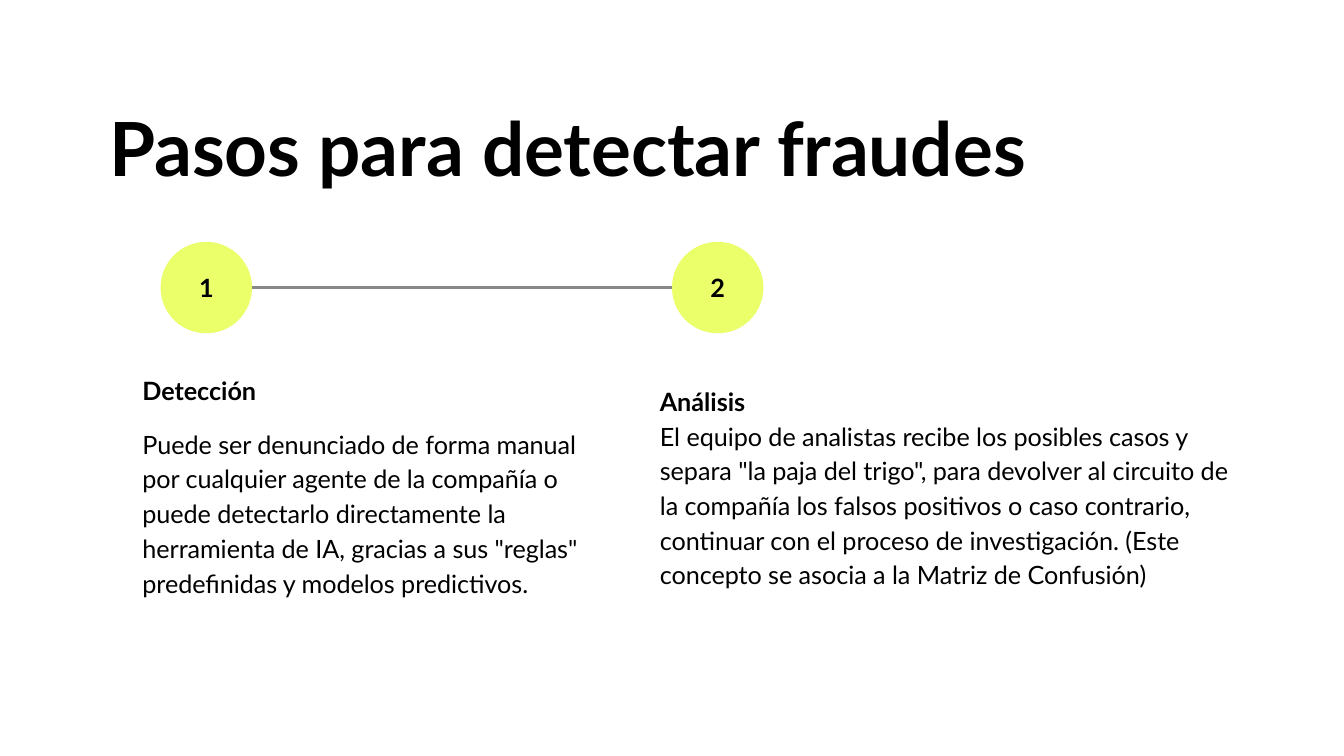
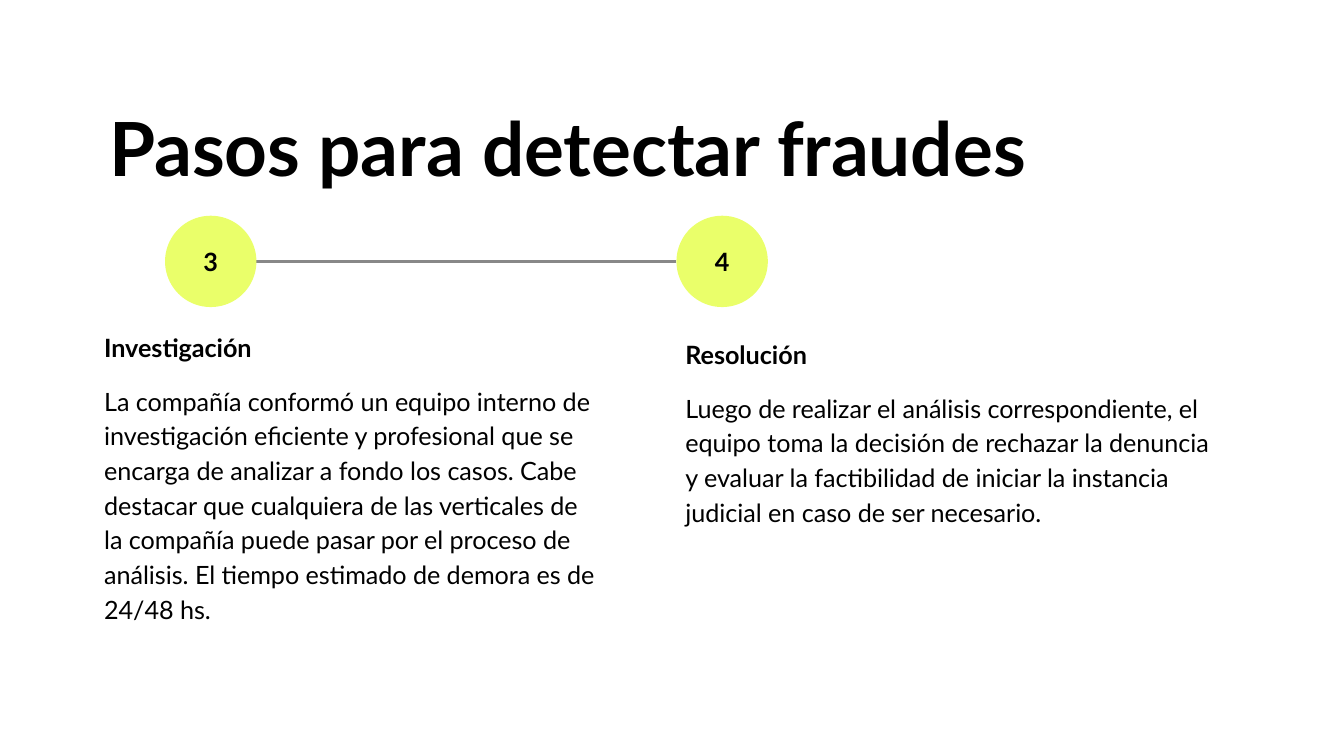
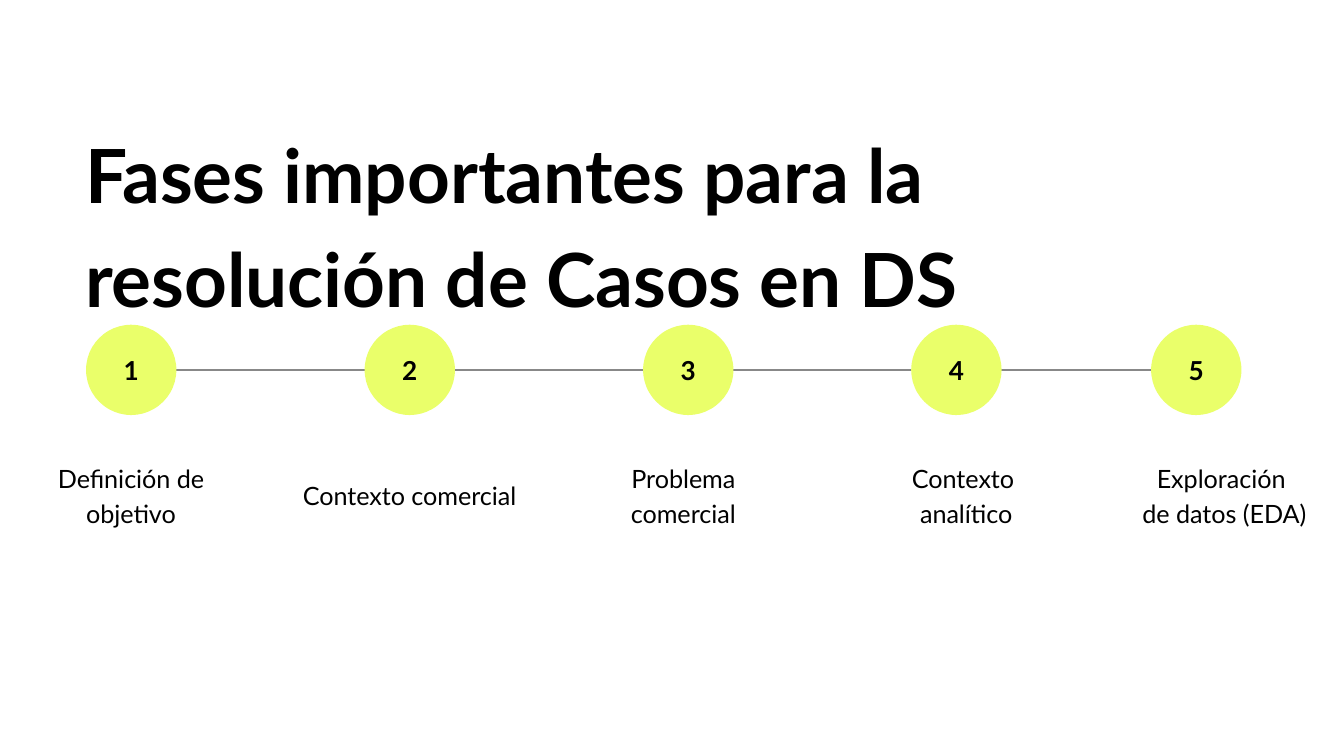
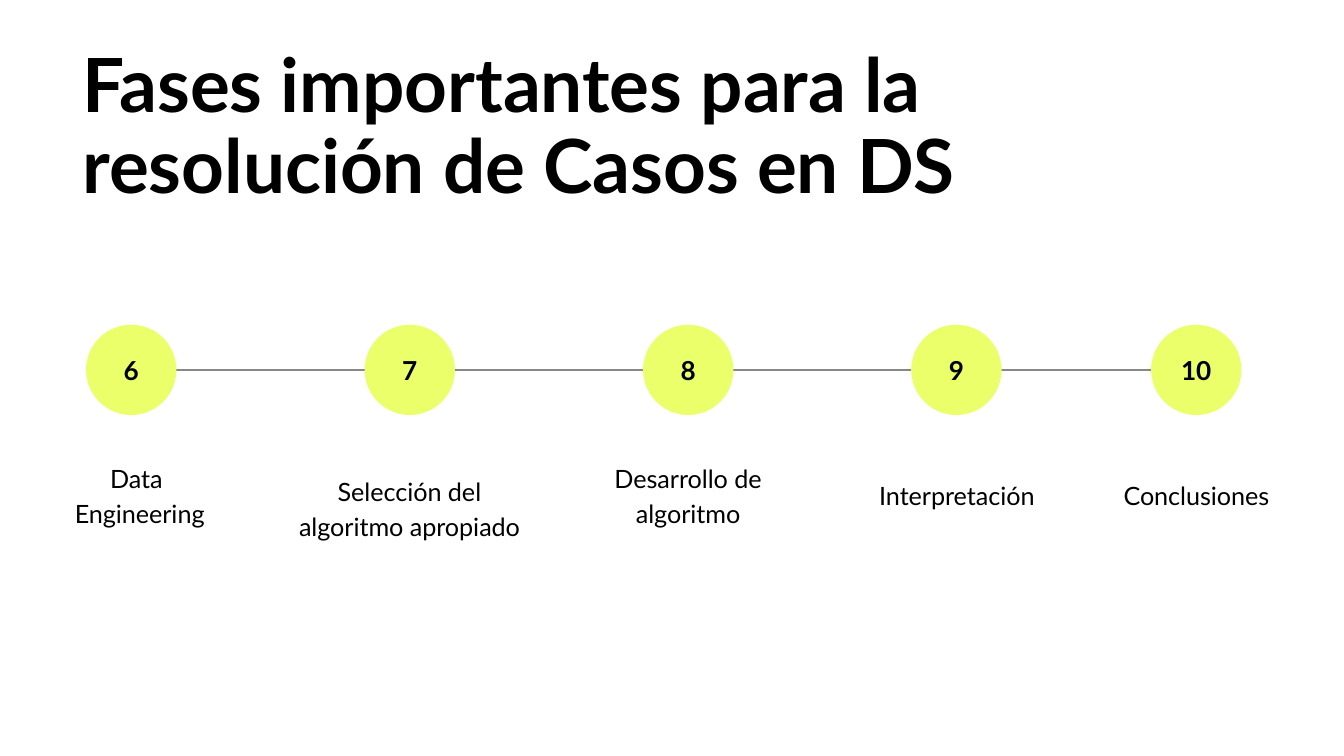
import pptx
import pptx.util
import pptx.dml.color
import pptx.enum.shapes
import pptx.enum.text
import lxml.etree

# The grid has 100 columns and 56.25 rows of square cells.
CELL = pptx.util.Inches(0.1)
COLUMNS, ROWS = 100, 56.25
FONT = "Lato"
COLORS = {"text": "000000", "circle": "EAFF6A", "line": "888888", "background": "FFFFFF"}
TITLE_ONLY, TWO_CONTENT = 5, 3
ALIGN = pptx.enum.text.PP_ALIGN
ANCHOR = pptx.enum.text.MSO_ANCHOR

BODY_SIZE = 13.5
STEP_DIAMETER, STEP_DISTANCE = 6.8, 38.05
PHASE_DIAMETER, PHASE_ROW = 6.72, 24.16
PHASE_COLUMNS = (6.4, 27.13, 47.85, 67.8, 85.65)
LABEL_ROW, LABEL_HEIGHT = 30.87, 11.7

STEPS_TITLE = "Pasos para detectar fraudes"
PHASES_TITLE = ("Fases importantes para la", "resolución de Casos en DS")


def color(name):
    return pptx.dml.color.RGBColor.from_string(COLORS[name])


def cells(*lengths):
    return [round(length * CELL) for length in lengths]


def remove_bullet(paragraph):
    properties = paragraph._p.get_or_add_pPr()
    properties.set("marL", "0")
    properties.set("indent", "0")
    lxml.etree.SubElement(properties, pptx.oxml.ns.qn("a:buNone"))


def write(shape, *lines, anchor=ANCHOR.TOP, **shared):
    """Fill a shape; each line is a string or a (string, own format) pair."""
    frame = shape.text_frame
    frame.word_wrap = True
    frame.auto_size = pptx.enum.text.MSO_AUTO_SIZE.NONE
    frame.vertical_anchor = anchor
    frame.margin_left = frame.margin_right = frame.margin_top = frame.margin_bottom = CELL
    for index, line in enumerate(lines):
        text, own = (line, {}) if isinstance(line, str) else line
        style = {**shared, **own}
        paragraph = frame.add_paragraph() if index else frame.paragraphs[0]
        if shape.is_placeholder:
            remove_bullet(paragraph)
        paragraph.alignment = style.get("align", ALIGN.LEFT)
        paragraph.line_spacing = style.get("spacing", 1.0)
        paragraph.space_before = pptx.util.Pt(style.get("before", 0) if index else 0)
        run = paragraph.add_run()
        run.text = text
        run.font.name = FONT
        run.font.size = pptx.util.Pt(style.get("size", BODY_SIZE))
        run.font.bold = style.get("bold", False)
        run.font.color.rgb = color("text")


def place(shape, *box):
    shape.left, shape.top, shape.width, shape.height = cells(*box)


def add_slide(presentation, layout, title_box, *title_lines):
    slide = presentation.slides.add_slide(presentation.slide_layouts[layout])
    slide.background.fill.solid()
    slide.background.fill.fore_color.rgb = color("background")
    place(slide.shapes.title, *title_box)
    write(slide.shapes.title, *title_lines, size=40, bold=True, spacing=0.9)
    return slide


def add_line(slide, start, end, row, width):
    line = slide.shapes.add_connector(
        pptx.enum.shapes.MSO_CONNECTOR.STRAIGHT, *cells(start, row, end, row))
    line.line.color.rgb = color("line")
    line.line.width = pptx.util.Pt(width)
    lxml.etree.SubElement(line._element.spPr, pptx.oxml.ns.qn("a:effectLst"))


def add_numbered_circle(slide, number, left, top, diameter, size):
    circle = slide.shapes.add_shape(
        pptx.enum.shapes.MSO_SHAPE.OVAL, *cells(left, top, diameter, diameter))
    circle.shadow.inherit = False
    circle.fill.solid()
    circle.fill.fore_color.rgb = color("circle")
    circle.line.fill.background()
    write(circle, str(number), size=size, bold=True, align=ALIGN.CENTER, anchor=ANCHOR.MIDDLE)


def add_label(slide, left, width, *lines, top=LABEL_ROW):
    label = slide.shapes.add_textbox(*cells(left, top, width, LABEL_HEIGHT))
    write(label, *lines, spacing=1.15, align=ALIGN.CENTER, anchor=ANCHOR.MIDDLE)


def add_steps_slide(presentation, first_number, left, top, steps):
    """Two joined circles, with a heading and a text below each."""
    slide = add_slide(presentation, TWO_CONTENT, (7.13, 7.35, 85.8, 7.6), STEPS_TITLE)
    add_line(slide, left + STEP_DIAMETER, left + STEP_DISTANCE, top + STEP_DIAMETER / 2, 1.5)
    for index, (box, heading, text, heading_spacing, gap) in enumerate(steps):
        add_numbered_circle(slide, first_number + index, left + index * STEP_DISTANCE, top,
                            STEP_DIAMETER, BODY_SIZE)
        body = slide.placeholders[index + 1]
        place(body, *box)
        write(body, (heading, {"bold": True, "spacing": heading_spacing}), text,
              spacing=1.15, before=gap)


def add_phases_slide(presentation, first_number, title_box, title_lines):
    """Five circles on one line; the labels are added by the caller."""
    slide = add_slide(presentation, TITLE_ONLY, title_box, *title_lines)
    add_line(slide, PHASE_COLUMNS[0] + PHASE_DIAMETER, 87.8,
             PHASE_ROW + PHASE_DIAMETER / 2, 0.75)
    for number, left in enumerate(PHASE_COLUMNS, first_number):
        add_numbered_circle(slide, number, left, PHASE_ROW, PHASE_DIAMETER, 14)
    return slide


def main():
    presentation = pptx.Presentation()
    presentation.slide_width, presentation.slide_height = cells(COLUMNS, ROWS)

    add_steps_slide(presentation, 1, 11.95, 18, [
        ((9.6, 26.62, 36.4, 21.4), "Detección",
         "Puede ser denunciado de forma manual por cualquier agente de la compañía o puede "
         "detectarlo directamente la herramienta de IA, gracias a sus \"reglas\" predefinidas "
         "y modelos predictivos.", 1.15, 10),
        ((48.1, 26.62, 44.4, 20.8), "Análisis",
         "El equipo de analistas recibe los posibles casos y separa \"la paja del trigo\", para "
         "devolver al circuito de la compañía los falsos positivos o caso contrario, continuar "
         "con el proceso de investigación. (Este concepto se asocia a la Matriz de Confusión)",
         1.5, 0),
    ])
    add_steps_slide(presentation, 3, 12.28, 16.05, [
        ((6.75, 23.4, 38.9, 24), "Investigación",
         "La compañía conformó un equipo interno de investigación eficiente y profesional que "
         "se encarga de analizar a fondo los casos. Cabe destacar que cualquiera de las "
         "verticales de la compañía puede pasar por el proceso de análisis. El tiempo estimado "
         "de demora es de 24/48 hs.", 1.15, 10),
        ((50, 23.92, 41.2, 16.1), "Resolución",
         "Luego de realizar el análisis correspondiente, el equipo toma la decisión de rechazar "
         "la denuncia y evaluar la factibilidad de iniciar la instancia judicial en caso de ser "
         "necesario.", 1.15, 10),
    ])

    slide = add_phases_slide(presentation, 1, (5.33, 9.35, 89.3, 14.8),
                             (PHASES_TITLE[0], (PHASES_TITLE[1], {"spacing": 1.15})))
    add_label(slide, 0.25, 19, "Definición de objetivo")
    add_label(slide, 21.33, 18.3, "Contexto comercial")
    add_label(slide, 42.2, 17.3, "Problema comercial")
    add_label(slide, 60.6, 22.6, "Contexto ", "analítico")
    add_label(slide, 79.35, 23.5, "Exploración ", "de datos (EDA)")

    slide = add_phases_slide(presentation, 6, (5.13, 2.6, 89.3, 14.1), PHASES_TITLE)
    add_label(slide, -0.9, 22.6, "Data ", "Engineering")
    add_label(slide, 20.72, 19.5, "Selección del algoritmo apropiado", top=LABEL_ROW + 1)
    add_label(slide, 42.4, 17.6, "Desarrollo de algoritmo")
    add_label(slide, 59.9, 22.6, "Interpretación")
    add_label(slide, 77.27, 23.5, "Conclusiones")

    presentation.save("out.pptx")


if __name__ == "__main__":
    main()
